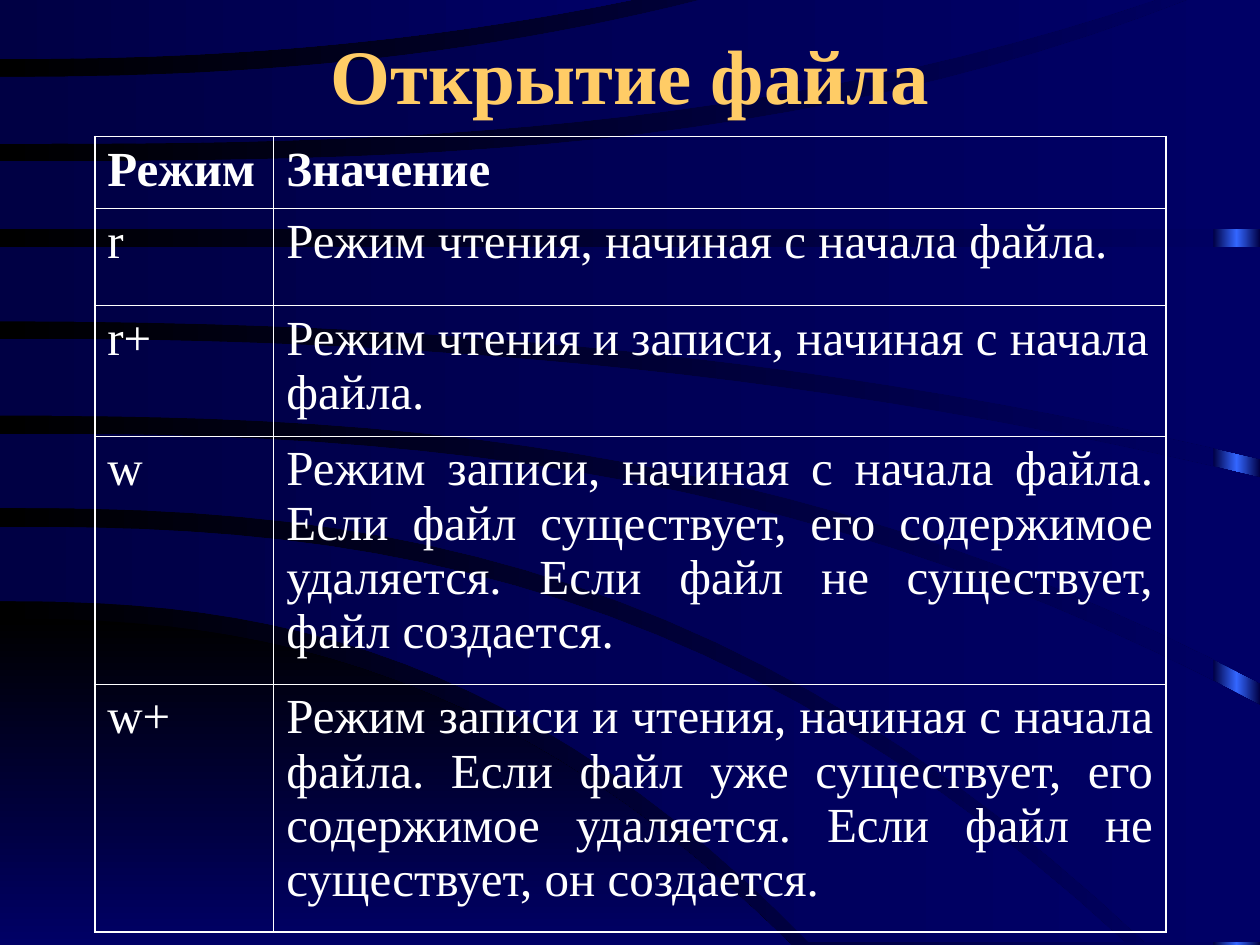
"""Build the slide on file opening modes: a table over a dark ribbon background."""
from copy import deepcopy
from typing import NamedTuple

from lxml import etree
from pptx import Presentation
from pptx.dml.color import RGBColor
from pptx.enum.shapes import MSO_SHAPE
from pptx.enum.text import MSO_ANCHOR, PP_ALIGN
from pptx.oxml.ns import qn
from pptx.util import Cm, Pt


class Edge(NamedTuple):
    """A curve from the left side of the slide, bending more with a higher power."""
    start_y: float
    end_x: float
    end_y: float
    power: float = 1


LEFT, CENTER, JUSTIFY = PP_ALIGN.LEFT, PP_ALIGN.CENTER, PP_ALIGN.JUSTIFY
MIDDLE = MSO_ANCHOR.MIDDLE
RECTANGLE = MSO_SHAPE.RECTANGLE

BLACK = RGBColor(0x00, 0x00, 0x00)
NAVY = RGBColor(0x00, 0x00, 0x44)
BLUE = RGBColor(0x00, 0x00, 0x66)
BRIGHT = RGBColor(0x33, 0x66, 0xFF)
GOLD = RGBColor(0xFF, 0xCC, 0x66)
WHITE = RGBColor(0xFF, 0xFF, 0xFF)

WIDTH, HEIGHT = 25.4, 19.05
MARGIN = 1.91
STRIP_WIDTH = 0.94
TITLE = "Открытие файла"
TITLE_TOP, TITLE_HEIGHT = 0.43, 2.11
TABLE_TOP = 2.75
COLUMN_WIDTHS = [3.61, 17.98]
ROWS = [
    (1.45, JUSTIFY, "Режим", "Значение"),
    (1.96, LEFT, "r", "Режим чтения, начиная с начала файла."),
    (2.62, LEFT, "r+", "Режим чтения и записи, начиная с начала файла."),
    (5, JUSTIFY, "w", "Режим записи, начиная с начала файла. Если файл существует, "
     "его содержимое удаляется. Если файл не существует, файл создается."),
    (5, JUSTIFY, "w+", "Режим записи и чтения, начиная с начала файла. Если файл уже "
     "существует, его содержимое удаляется. Если файл не существует, он создается."),
]
OUTER_LINE, INNER_LINE = Pt(1.08), Pt(0.45)
TITLE_FONT = {"name": "Times New Roman", "size": Pt(44), "bold": True}
CELL_FONT = {"name": "Times New Roman", "size": Pt(28)}
CELL_SPACING = Pt(7)

CURVE_STEPS = 24
UNITS_PER_CM = 1000
CORNER = (Edge(12.47, 15.95, HEIGHT, 2.4), Edge(HEIGHT, 15.95, HEIGHT))
RIBBONS = [
    (Edge(10.62, 22.68, 19, 2.5), Edge(12.12, 16.31, 19, 2.45)),
    (Edge(8.74, WIDTH, 14.22, 2.5), Edge(10.24, 23.09, 19, 2.5)),
    (Edge(6.83, WIDTH, 9.63, 2.2), Edge(8.38, WIDTH, 13.77, 2.5)),
    (Edge(4.98, WIDTH, 4.98), Edge(6.48, WIDTH, 9.25, 2.2)),
    (Edge(3.25, 23.95, 0, 2.9), Edge(4.62, WIDTH, 4.62)),
    (Edge(1.55, 14.12, 0, 2.3), Edge(2.9, 23.29, 0, 2.7)),
    (Edge(0, 12.73, 0), Edge(1.19, 12.73, 0, 2.2)),
]


def paint(fill, element, colors, angle=0):
    """Give a fill an even gradient through the colours."""
    fill.gradient()
    fill.gradient_angle = angle
    stop_list = element.xpath(".//a:gsLst")[0]
    for _ in colors[2:]:
        stop_list.append(deepcopy(stop_list[0]))
    for index, (stop, color) in enumerate(zip(fill.gradient_stops, colors)):
        stop.position = index / (len(colors) - 1)
        stop.color.rgb = color


def finish_shape(shape, colors, angle=0):
    """Paint a background shape without line or shadow."""
    shape.shadow.inherit = False
    shape.line.fill.background()
    paint(shape.fill, shape._element, colors, angle)


def trace(edge):
    """Return points along an edge, from left to right."""
    fractions = [step / CURVE_STEPS for step in range(CURVE_STEPS + 1)]
    rise = edge.end_y - edge.start_y
    return [(edge.end_x * t, edge.start_y + rise * t ** edge.power) for t in fractions]


def add_ribbon(slide, edges, colors, angle=0):
    """Fill the area between two edges, squaring off the end of the shorter one."""
    upper, lower = edges
    shorter, longer = sorted(edges, key=lambda edge: edge.end_x)
    square_end = (longer.end_x, shorter.end_y)
    outline = trace(upper) + [square_end] + trace(lower)[::-1]
    points = [(x * UNITS_PER_CM, y * UNITS_PER_CM) for x, y in outline]
    builder = slide.shapes.build_freeform(*points[0], scale=Cm(1) / UNITS_PER_CM)
    builder.add_line_segments(points[1:], close=True)
    finish_shape(builder.convert_to_shape(), colors, angle)


def add_background(slide):
    """Paint the slide and lay the bright strip, the corner and the ribbons over it."""
    paint(slide.background.fill, slide._element, [BLACK, BLUE])
    strip = slide.shapes.add_shape(
        RECTANGLE, Cm(WIDTH - STRIP_WIDTH), 0, Cm(STRIP_WIDTH), Cm(HEIGHT))
    finish_shape(strip, [NAVY, BRIGHT, NAVY])
    add_ribbon(slide, CORNER, [BLACK, BLUE], 270)
    for edges in RIBBONS:
        add_ribbon(slide, edges, [NAVY, BLUE])


def write(text_frame, text, alignment, color, font):
    """Write one formatted paragraph."""
    paragraph = text_frame.paragraphs[0]
    paragraph.alignment = alignment
    run = paragraph.add_run()
    run.text = text
    run.font.color.rgb = color
    for name, value in font.items():
        setattr(run.font, name, value)
    return paragraph


def add_title(slide):
    """Add the centred title."""
    title = slide.shapes.add_textbox(
        Cm(MARGIN), Cm(TITLE_TOP), Cm(WIDTH - 2 * MARGIN), Cm(TITLE_HEIGHT))
    title.text_frame.word_wrap = True
    title.text_frame.vertical_anchor = MIDDLE
    write(title.text_frame, TITLE, CENTER, GOLD, TITLE_FONT)


def add_border(cell, side, width):
    """Draw one white side of a cell."""
    line = etree.SubElement(cell._tc.get_or_add_tcPr(), qn(f"a:ln{side}"), w=str(width))
    solid = etree.SubElement(line, qn("a:solidFill"))
    etree.SubElement(solid, qn("a:srgbClr"), val=str(WHITE))


def add_modes_table(slide):
    """Add the table of file modes, with a heavier outer frame."""
    row_count, column_count = len(ROWS), len(COLUMN_WIDTHS)
    table = slide.shapes.add_table(
        row_count, column_count, Cm(MARGIN), Cm(TABLE_TOP),
        Cm(sum(COLUMN_WIDTHS)), Cm(sum(row[0] for row in ROWS))).table
    table.first_row = table.horz_banding = False
    for column, width in zip(table.columns, COLUMN_WIDTHS):
        column.width = Cm(width)
    for row, (height, meaning_alignment, *texts) in enumerate(ROWS):
        table.rows[row].height = Cm(height)
        font = {**CELL_FONT, "bold": row == 0}
        for column, alignment in enumerate((JUSTIFY, meaning_alignment)):
            cell = table.cell(row, column)
            on_frame = {"L": column == 0, "R": column == column_count - 1,
                        "T": row == 0, "B": row == row_count - 1}
            for side, is_outer in on_frame.items():
                add_border(cell, side, OUTER_LINE if is_outer else INNER_LINE)
            cell.fill.background()
            paragraph = write(cell.text_frame, texts[column], alignment, WHITE, font)
            paragraph.space_before = CELL_SPACING


def main():
    """Assemble and save the slide."""
    presentation = Presentation()
    presentation.slide_width, presentation.slide_height = Cm(WIDTH), Cm(HEIGHT)
    slide = presentation.slides.add_slide(presentation.slide_layouts[6])
    add_background(slide)
    add_title(slide)
    add_modes_table(slide)
    presentation.save("out.pptx")


if __name__ == "__main__":
    main()
